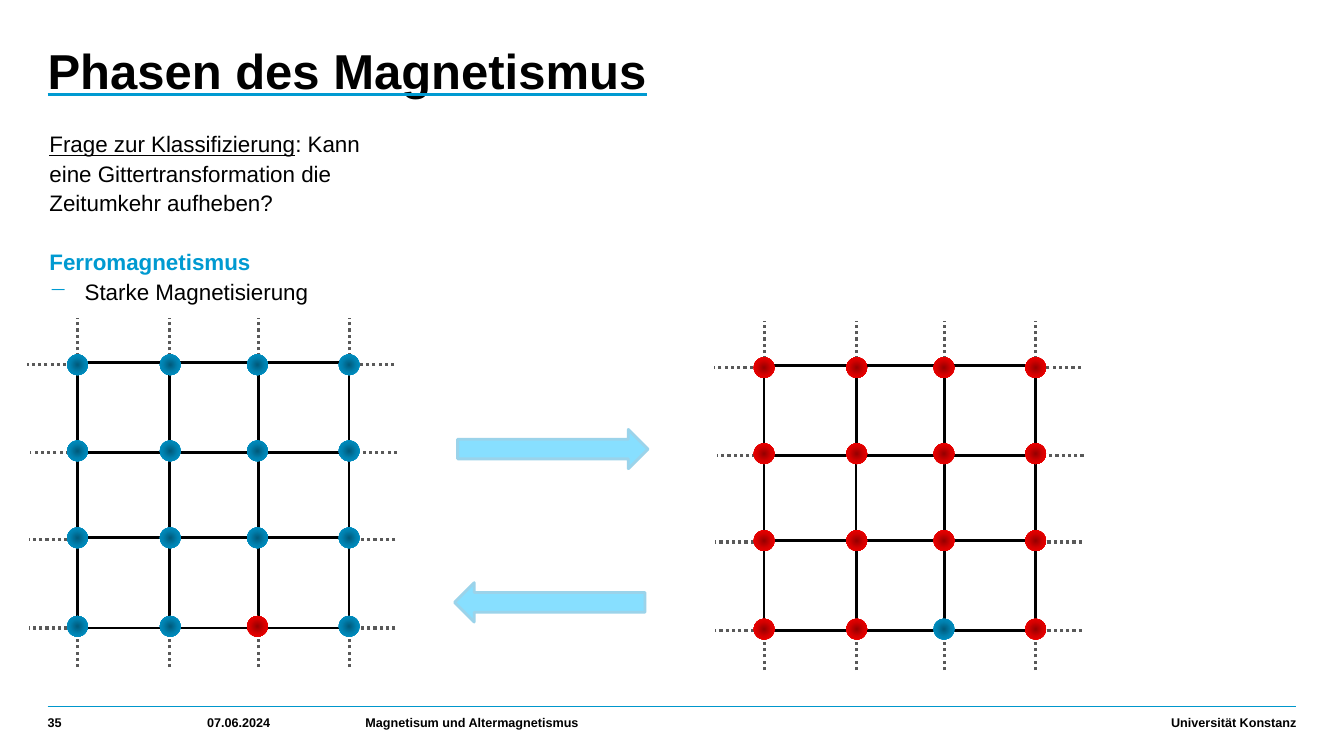
"""Build the slide comparing two ferromagnetic lattices under time reversal."""
from dataclasses import dataclass

from lxml import etree
from pptx import Presentation
from pptx.dml.color import RGBColor
from pptx.enum.dml import MSO_LINE
from pptx.enum.shapes import MSO_CONNECTOR, MSO_SHAPE
from pptx.enum.text import MSO_ANCHOR, PP_ALIGN
from pptx.oxml import parse_xml
from pptx.oxml.ns import qn
from pptx.util import Pt

STRAIGHT = MSO_CONNECTOR.STRAIGHT
RECTANGLE, OVAL, ARROW = MSO_SHAPE.RECTANGLE, MSO_SHAPE.OVAL, MSO_SHAPE.RIGHT_ARROW
DOTTED = MSO_LINE.ROUND_DOT
TOP, BOTTOM = MSO_ANCHOR.TOP, MSO_ANCHOR.BOTTOM
LEFT, RIGHT = PP_ALIGN.LEFT, PP_ALIGN.RIGHT
NAMESPACE = 'xmlns:a="http://schemas.openxmlformats.org/drawingml/2006/main"'


@dataclass(frozen=True)
class Theme:
    font: str = "Arial"
    title_size: float = 35
    body_size: float = 16
    footer_size: float = 9
    black: str = "000000"
    accent: str = "009AD1"
    rule: str = "0097CC"
    dotted: str = "595959"
    arrow_fill: str = "87DFFF"
    arrow_line: str = "9BD3EA"
    blue_spin: tuple = ("005B7C", "0082B0", "009AD1")
    red_spin: tuple = ("970000", "D70000", "FF0000")


theme = Theme()


def add_text(place, paragraphs, size, anchor=TOP, inset=0, spacing=1.0, align=LEFT):
    frame = slide.shapes.add_textbox(*map(Pt, place)).text_frame
    frame.word_wrap = True
    frame.vertical_anchor = anchor
    frame.margin_left = frame.margin_right = frame.margin_top = 0
    frame.margin_bottom = Pt(inset)
    for index, runs in enumerate(paragraphs):
        paragraph = frame.add_paragraph() if index else frame.paragraphs[0]
        paragraph.alignment = align
        paragraph.line_spacing = spacing
        for text, color, bold, underline in runs:
            run = paragraph.add_run()
            run.text = text
            run.font.name = theme.font
            run.font.size = Pt(size)
            run.font.bold = bold
            run.font.underline = underline
            run.font.color.rgb = RGBColor.from_string(color)
    return frame


def add_line(shapes, start, end, color, width, dash=None):
    line = shapes.add_connector(STRAIGHT, *map(Pt, (*start, *end)))
    line.line.color.rgb = RGBColor.from_string(color)
    line.line.width = Pt(width)
    if dash:
        line.line.dash_style = dash
    etree.SubElement(line._element.spPr, qn("a:effectLst"))


presentation = Presentation()
presentation.slide_width, presentation.slide_height = Pt(960), Pt(540)
slide = presentation.slides.add_slide(presentation.slide_layouts[6])

title = add_text((34, 31.7, 665, 64), [[("Phasen des Magnetismus", theme.black, True, True)]],
                 theme.title_size, spacing=0.95)
title_font = title.paragraphs[0].runs[0]._r.get_or_add_rPr()
title_font.find(qn("a:solidFill")).addnext(parse_xml(
    f'<a:uFill {NAMESPACE}><a:solidFill><a:srgbClr val="{theme.accent}"/></a:solidFill></a:uFill>'))

body = add_text((35.3, 91.4, 251.3, 363), [
    [("Frage zur Klassifizierung", theme.black, False, True),
     (": Kann eine Gittertransformation die Zeitumkehr aufheben?", theme.black, False, False)],
    [("Ferromagnetismus", theme.accent, True, False)],
    [("Starke Magnetisierung", theme.black, False, False)],
], theme.body_size, spacing=1.1)
body.paragraphs[1].space_before = Pt(21)
bullet = body.paragraphs[2]._p.get_or_add_pPr()
bullet.set("marL", str(Pt(25.2)))
bullet.set("indent", str(Pt(-25.2)))
bullet.append(parse_xml(
    f'<a:buClr {NAMESPACE}><a:srgbClr val="{theme.accent}"/></a:buClr>'))
bullet.append(parse_xml(f'<a:buChar {NAMESPACE} char="−"/>'))

add_line(slide.shapes, (34, 504.7), (926, 504.7), theme.rule, 1)
for left, width, text, align in (
    (34, 98, "35", LEFT),
    (147.9, 98, "07.06.2024", LEFT),
    (261, 453, "Magnetisum und Altermagnetismus", LEFT),
    (601, 325, "Universität Konstanz", RIGHT),
):
    add_text((left, 508.3, width, 17.3), [[(text, theme.black, True, False)]],
             theme.footer_size, BOTTOM, 4.3, align=align)

columns = (0, 65.7, 129, 194)
rows = (0, 64, 125, 189.4)
spin_columns = (0, 66.2, 128.5, 194)
spin_rows = (1.4, 62.9, 125, 188.2)
tail_rows = (1.4, 64, 126, 189.4)
tail_shifts = (0, 2, 0.8, 0.8)
tail_length = 32.2
spin_size = 14.8
flipped_spin = (2, 3)

for x, y, spin, opposite in (
    (55.4, 259.2, theme.blue_spin, theme.red_spin),
    (545.8, 261.2, theme.red_spin, theme.blue_spin),
):
    lattice = slide.shapes.add_group_shape().shapes

    for row, shift in zip(tail_rows, tail_shifts):
        for start in (x - 3.6 + shift, x + 226.2 + shift):
            add_line(lattice, (start, y + row), (start - tail_length, y + row),
                     theme.dotted, 2.25, DOTTED)
    for column in columns:
        for start in (y, y + 217.4):
            add_line(lattice, (x + column, start), (x + column, start - tail_length),
                     theme.dotted, 2.25, DOTTED)

    for first, last in ((0, 3), (1, 2)):
        square = lattice.add_shape(
            RECTANGLE, Pt(x + columns[first]), Pt(y + rows[first]),
            Pt(columns[last] - columns[first]), Pt(rows[last] - rows[first]))
        square.shadow.inherit = False
        square.fill.background()
        square.line.color.rgb = RGBColor.from_string(theme.black)
        square.line.width = Pt(2)
    for inner in (1, 2):
        for first, last in ((0, 1), (2, 3)):
            add_line(lattice, (x + columns[inner], y + rows[last]),
                     (x + columns[inner], y + rows[first]), theme.black, 2.25)
            add_line(lattice, (x + columns[first], y + rows[inner]),
                     (x + columns[last], y + rows[inner]), theme.black, 2.25)

    for row_index, row in enumerate(spin_rows):
        for column_index, column in enumerate(spin_columns):
            dot = lattice.add_shape(OVAL, Pt(x + column - spin_size / 2),
                                    Pt(y + row - spin_size / 2), Pt(spin_size), Pt(spin_size))
            colors = opposite if (column_index, row_index) == flipped_spin else spin
            stops = "".join(
                f'<a:gs pos="{position}"><a:srgbClr val="{color}"/></a:gs>'
                for position, color in zip((0, 50000, 100000), colors))
            dot._element.spPr.append(parse_xml(
                f'<a:gradFill {NAMESPACE} rotWithShape="1"><a:gsLst>{stops}</a:gsLst>'
                '<a:path path="circle"><a:fillToRect l="50000" t="50000" r="50000" b="50000"/>'
                '</a:path></a:gradFill>'))
            dot.line.fill.background()
            dot.shadow.inherit = False

for left, top, rotation in ((326.9, 306.7, 0), (324.7, 416.2, 180)):
    arrow = slide.shapes.add_shape(ARROW, Pt(left), Pt(top), Pt(136), Pt(28.1))
    arrow.rotation = rotation
    arrow.shadow.inherit = False
    arrow.fill.solid()
    arrow.fill.fore_color.rgb = RGBColor.from_string(theme.arrow_fill)
    arrow.line.color.rgb = RGBColor.from_string(theme.arrow_line)
    arrow.line.width = Pt(2)

presentation.save("out.pptx")
